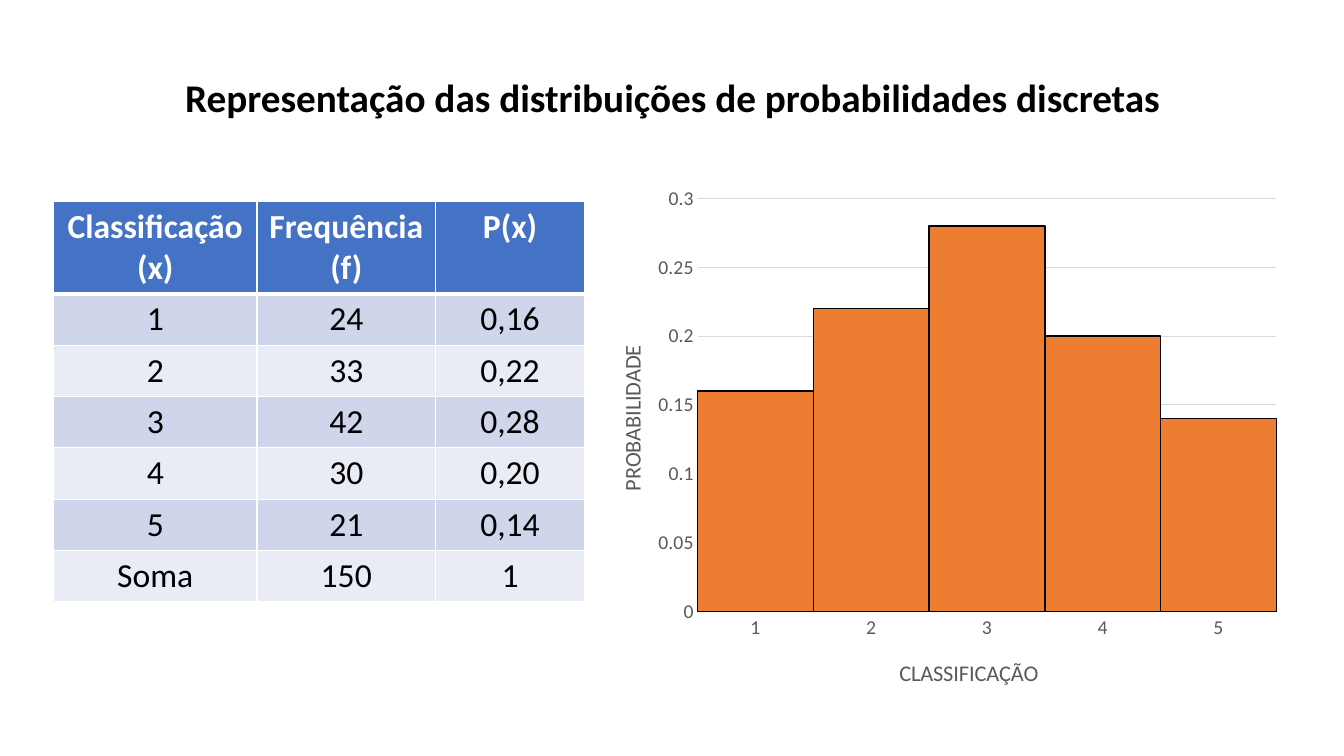
from dataclasses import dataclass

from lxml import etree
from pptx import Presentation
from pptx.chart.data import CategoryChartData
from pptx.dml.color import RGBColor
from pptx.enum.chart import XL_CHART_TYPE, XL_TICK_MARK
from pptx.enum.text import MSO_ANCHOR, MSO_AUTO_SIZE, PP_ALIGN
from pptx.oxml.ns import qn
from pptx.util import Emu, Pt

COLUMN_CLUSTERED = XL_CHART_TYPE.COLUMN_CLUSTERED
NO_TICK = XL_TICK_MARK.NONE
TOP = MSO_ANCHOR.TOP
NO_AUTOFIT = MSO_AUTO_SIZE.NONE
CENTER = PP_ALIGN.CENTER

EMU_PER_PX = 9144  # 100 px to the inch
FONT = "Calibri"
BLACK = RGBColor(0x00, 0x00, 0x00)
WHITE = RGBColor(0xFF, 0xFF, 0xFF)
HEADER_BLUE = RGBColor(0x44, 0x72, 0xC4)
BANDS = (RGBColor(0xE9, 0xEB, 0xF5), RGBColor(0xCF, 0xD5, 0xEA))
BAR_ORANGE = RGBColor(0xED, 0x7D, 0x31)
AXIS_GREY = RGBColor(0x59, 0x59, 0x59)
GRID_GREY = RGBColor(0xD9, 0xD9, 0xD9)

TITLE = "Representação das distribuições de probabilidades discretas"
HEADERS = ("Classificação (x)", "Frequência (f)", "P(x)")
COLUMN_WIDTHS = (202, 177, 148)
HEADER_HEIGHT, ROW_HEIGHT = 90, 51


@dataclass(frozen=True)
class Box:
    left: int
    top: int
    width: int
    height: int

    def emu(self) -> tuple[Emu, ...]:
        return tuple(px(n) for n in (self.left, self.top, self.width, self.height))


@dataclass(frozen=True)
class Rating:
    label: str
    frequency: int
    probability: float


@dataclass(frozen=True)
class AxisTitle:
    text: str
    x: float
    y: float
    rotation: int


RATINGS = (
    Rating("1", 24, 0.16),
    Rating("2", 33, 0.22),
    Rating("3", 42, 0.28),
    Rating("4", 30, 0.20),
    Rating("5", 21, 0.14),
)
CATEGORY_TITLE = AxisTitle("CLASSIFICAÇÃO", 0.44, 0.9, 0)
VALUE_TITLE = AxisTitle("PROBABILIDADE", 0.04, 0.31, -90)


def px(length: int) -> Emu:
    return Emu(length * EMU_PER_PX)


def style_font(font, size: int, color: RGBColor, bold: bool = False) -> None:
    font.name = FONT
    font.size = Pt(size)
    font.bold = bold
    font.color.rgb = color


def add_title(slide) -> None:
    title = slide.shapes.title
    title.left, title.top, title.width, title.height = Box(92, 73, 1150, 60).emu()
    frame = title.text_frame
    frame.text = TITLE
    frame.auto_size = NO_AUTOFIT
    frame.vertical_anchor = TOP
    heading = frame.paragraphs[0]
    heading.alignment = CENTER
    heading.line_spacing = 0.9
    style_font(heading.runs[0].font, 28, BLACK, bold=True)


def add_borders(cell, top: int, bottom: int) -> None:
    properties = cell._tc.get_or_add_tcPr()
    widths = {"a:lnL": 1, "a:lnR": 1, "a:lnT": top, "a:lnB": bottom}
    for position, (side, width) in enumerate(widths.items()):
        line = etree.Element(qn(side), w=str(Pt(width)))
        fill = etree.SubElement(line, qn("a:solidFill"))
        etree.SubElement(fill, qn("a:srgbClr"), val=str(WHITE))
        properties.insert(position, line)


def add_frequency_table(slide) -> None:
    rows = [HEADERS]
    for rating in RATINGS:
        probability = f"{rating.probability:.2f}".replace(".", ",")
        rows.append((rating.label, str(rating.frequency), probability))
    rows.append(("Soma", str(sum(rating.frequency for rating in RATINGS)), "1"))

    height = HEADER_HEIGHT + ROW_HEIGHT * (len(rows) - 1)
    box = Box(53, 200, sum(COLUMN_WIDTHS), height)
    table = slide.shapes.add_table(len(rows), len(HEADERS), *box.emu()).table
    for column, width in zip(table.columns, COLUMN_WIDTHS):
        column.width = px(width)
    for r, texts in enumerate(rows):
        is_header = r == 0
        table.rows[r].height = px(HEADER_HEIGHT if is_header else ROW_HEIGHT)
        for c, text in enumerate(texts):
            cell = table.cell(r, c)
            cell.text = text
            cell.fill.solid()
            cell.fill.fore_color.rgb = HEADER_BLUE if is_header else BANDS[r % 2]
            add_borders(cell, top=3 if r == 1 else 1, bottom=3 if is_header else 1)
            content = cell.text_frame.paragraphs[0]
            content.alignment = CENTER
            style_font(content.runs[0].font, 24, WHITE if is_header else BLACK, is_header)


def set_layout(element, index: int, **settings: str | float) -> None:
    """Place a chart part by fractions of the chart's size."""
    layout = element.find(qn("c:layout"))
    if layout is None:
        layout = etree.Element(qn("c:layout"))
        element.insert(index, layout)
    manual = etree.SubElement(layout, qn("c:manualLayout"))
    for name, value in settings.items():
        etree.SubElement(manual, qn(f"c:{name}"), val=str(value))


def style_axis(axis, title: AxisTitle) -> None:
    axis.major_tick_mark = axis.minor_tick_mark = NO_TICK
    style_font(axis.tick_labels.font, 14, AXIS_GREY)
    frame = axis.axis_title.text_frame
    frame.text = title.text
    style_font(frame.paragraphs[0].runs[0].font, 16, AXIS_GREY)
    frame._txBody.bodyPr.set("rot", str(title.rotation * 60000))
    set_layout(axis.axis_title._element, 1,
               xMode="edge", yMode="edge", x=title.x, y=title.y)


def add_histogram(slide) -> None:
    data = CategoryChartData()
    data.categories = [rating.label for rating in RATINGS]
    data.add_series("Series 1", [rating.probability for rating in RATINGS])
    box = Box(580, 176, 700, 525)
    chart = slide.shapes.add_chart(COLUMN_CLUSTERED, *box.emu(), data).chart
    chart.has_title = False
    chart.has_legend = False
    style_font(chart.font, 10, BLACK)

    # Adjoining bars
    plot = chart.plots[0]
    plot.gap_width = 0
    plot.vary_by_categories = False
    bars = plot.series[0].format
    bars.fill.solid()
    bars.fill.fore_color.rgb = BAR_ORANGE
    bars.line.color.rgb = BLACK
    bars.line.width = Pt(1)

    # Axes and gridlines
    categories, values = chart.category_axis, chart.value_axis
    style_axis(categories, CATEGORY_TITLE)
    style_axis(values, VALUE_TITLE)
    values.minimum_scale, values.maximum_scale, values.major_unit = 0, 0.3, 0.05
    values.format.line.fill.background()
    for line in (categories.format.line, values.major_gridlines.format.line):
        line.color.rgb = GRID_GREY
        line.width = Pt(0.75)
    set_layout(chart._chartSpace.chart.plotArea, 0, layoutTarget="inner",
               xMode="edge", yMode="edge", x=0.16, y=0.04, w=0.82, h=0.78)


def main() -> None:
    presentation = Presentation()
    presentation.slide_width, presentation.slide_height = px(1333), px(750)
    title_only = presentation.slide_layouts[5]
    slide = presentation.slides.add_slide(title_only)
    add_title(slide)
    add_frequency_table(slide)
    add_histogram(slide)
    presentation.save("out.pptx")


if __name__ == "__main__":
    main()
